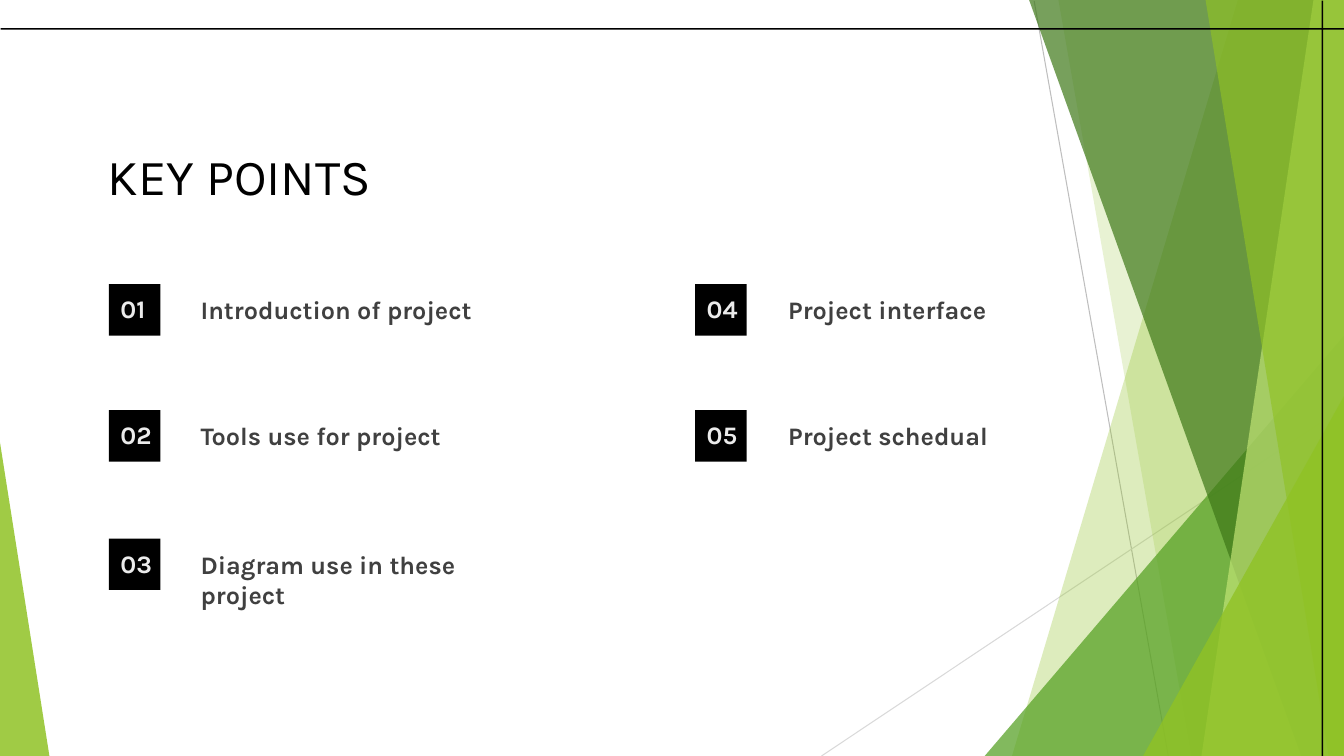
import pptx
import pptx.util
import pptx.dml.color
import pptx.enum.shapes
import pptx.enum.text
import pptx.oxml.ns
import lxml.etree

Pt = pptx.util.Pt


def color(value):
    return pptx.dml.color.RGBColor.from_string(value)


def write(shape, text, insets, font_format):
    frame = shape.text_frame
    frame_format = {
        "word_wrap": True,
        "vertical_anchor": pptx.enum.text.MSO_ANCHOR.TOP,
        "margin_left": Pt(insets[0]),
        "margin_top": Pt(insets[1]),
        "margin_right": 0,
        "margin_bottom": 0,
    }
    for name, value in frame_format.items():
        setattr(frame, name, value)
    paragraph = frame.paragraphs[0]
    paragraph.alignment = pptx.enum.text.PP_ALIGN.LEFT
    run = paragraph.add_run()
    run.text = text
    for name, value in font_format.items():
        if name == "color":
            run.font.color.rgb = color(value)
        else:
            setattr(run.font, name, value)


deck = pptx.Presentation()
deck.slide_width = Pt(960)
deck.slide_height = Pt(540)
slide = deck.slides.add_slide(deck.slide_layouts[6])
shapes = slide.shapes

rays = [
    (738.7, 0.7, 834.5, 540, "BEBEBE"),
    (960, 290.9, 586.8, 540, "D9D9D9"),
]
for x1, y1, x2, y2, ray_color in rays:
    ray = shapes.add_connector(
        pptx.enum.shapes.MSO_CONNECTOR.STRAIGHT, Pt(x1), Pt(y1), Pt(x2), Pt(y2))
    ray.line.color.rgb = color(ray_color)
    ray.line.width = Pt(0.75)
    lxml.etree.SubElement(ray._element.spPr, pptx.oxml.ns.qn("a:effectLst"))

facets = [
    ([(960, 0), (884.2, 0), (722.9, 540), (960, 540)], "90C225", 30),
    ([(960, 0), (756, 0), (851, 540), (960, 540)], "90C225", 20),
    ([(960, 239.8), (703.4, 540), (960, 540)], "539F20", 72),
    ([(960, 0), (735.1, 0), (929.5, 540), (960, 540)], "3E7818", 70),
    ([(960, 0), (938.2, 0), (858.2, 540), (960, 540)], "C0E374", 70),
    ([(960, 0), (861.1, 0), (949, 540), (960, 540)], "90C225", 65),
    ([(960, 283), (816.5, 540), (960, 540)], "90C225", 80),
    ([(0, 316.1), (0, 540), (35.3, 540)], "90C225", 85),
    ([(960, 20.1), (945.2, 20.1), (945.2, 0.5), (944.1, 0.5), (944.1, 20.1),
      (0.5, 20.1), (0.5, 21.2), (944.1, 21.2), (944.1, 540), (945.2, 540),
      (945.2, 21.2), (960, 21.2)], "000000", 100),
]
for corners, facet_color, opacity in facets:
    points = [(Pt(x), Pt(y)) for x, y in corners]
    outline = shapes.build_freeform(*points[0], scale=1.0)
    outline.add_line_segments(points[1:], close=True)
    facet = outline.convert_to_shape()
    facet.shadow.inherit = False
    facet.line.fill.background()
    facet.fill.solid()
    facet.fill.fore_color.rgb = color(facet_color)
    if opacity < 100:
        tint = facet._element.spPr.find(".//" + pptx.oxml.ns.qn("a:srgbClr"))
        alpha = lxml.etree.SubElement(tint, pptx.oxml.ns.qn("a:alpha"))
        alpha.set("val", str(opacity * 1000))

heading_format = {"name": "Karla", "size": Pt(36), "color": "000000"}
number_format = {"name": "Karla", "size": Pt(18), "bold": True, "color": "EBEBEB"}
point_format = {**number_format, "color": "404040"}

heading = shapes.add_textbox(Pt(77), Pt(103.7), Pt(600), Pt(44))
write(heading, "KEY POINTS", (0, 0), heading_format)

row_tops = [203, 293, 384.7]
columns = [
    (77.8, 142.6, ["Introduction of project", "Tools use for project",
                   "Diagram use in these project"]),
    (496.6, 562.3, ["Project interface", "Project schedual"]),
]
number = 0
for square_left, point_left, key_points in columns:
    for top, key_point in zip(row_tops, key_points):
        number += 1
        square = shapes.add_shape(
            pptx.enum.shapes.MSO_SHAPE.RECTANGLE,
            Pt(square_left), Pt(top), Pt(36.8), Pt(36.8))
        square.shadow.inherit = False
        square.line.fill.background()
        square.fill.solid()
        square.fill.fore_color.rgb = color("000000")
        write(square, f"{number:02}", (8.2, 6.8), number_format)
        label = shapes.add_textbox(Pt(point_left), Pt(top + 6.5), Pt(240), Pt(24))
        write(label, key_point, (0.7, 0.9), point_format)

deck.save("out.pptx")
